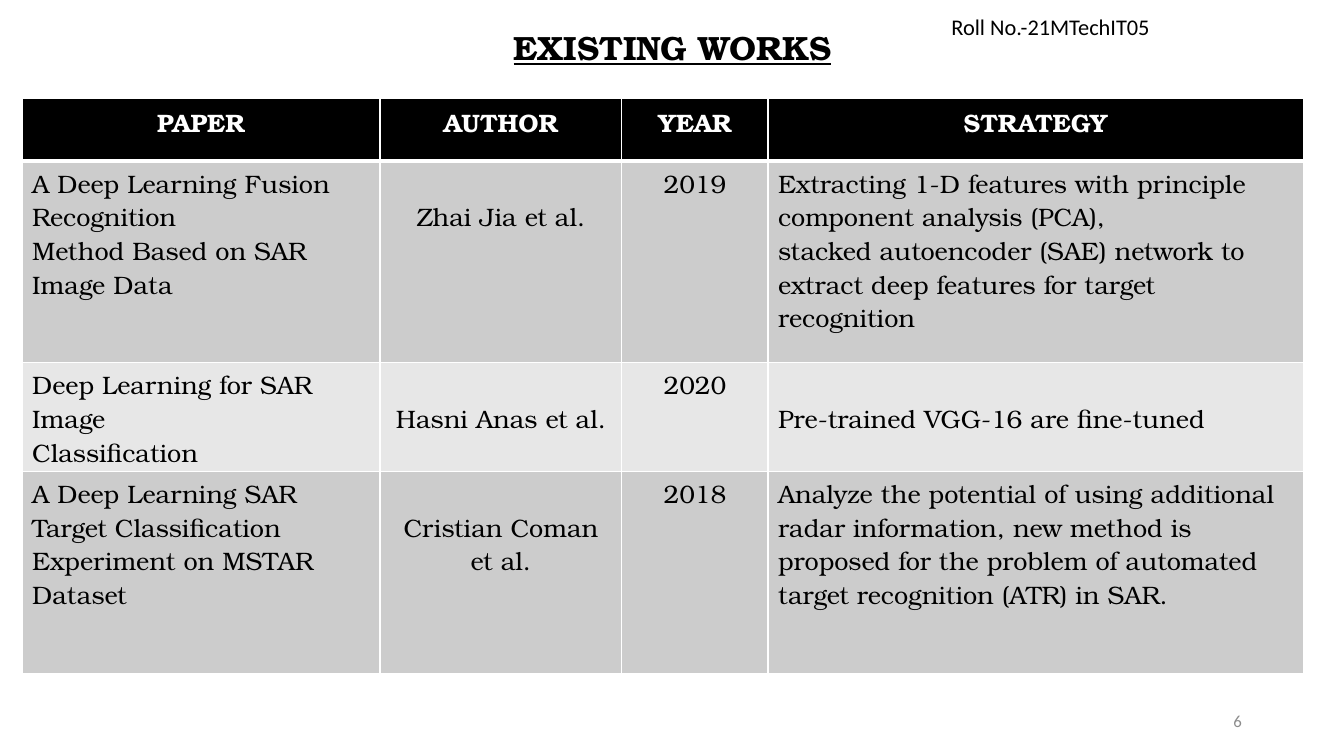
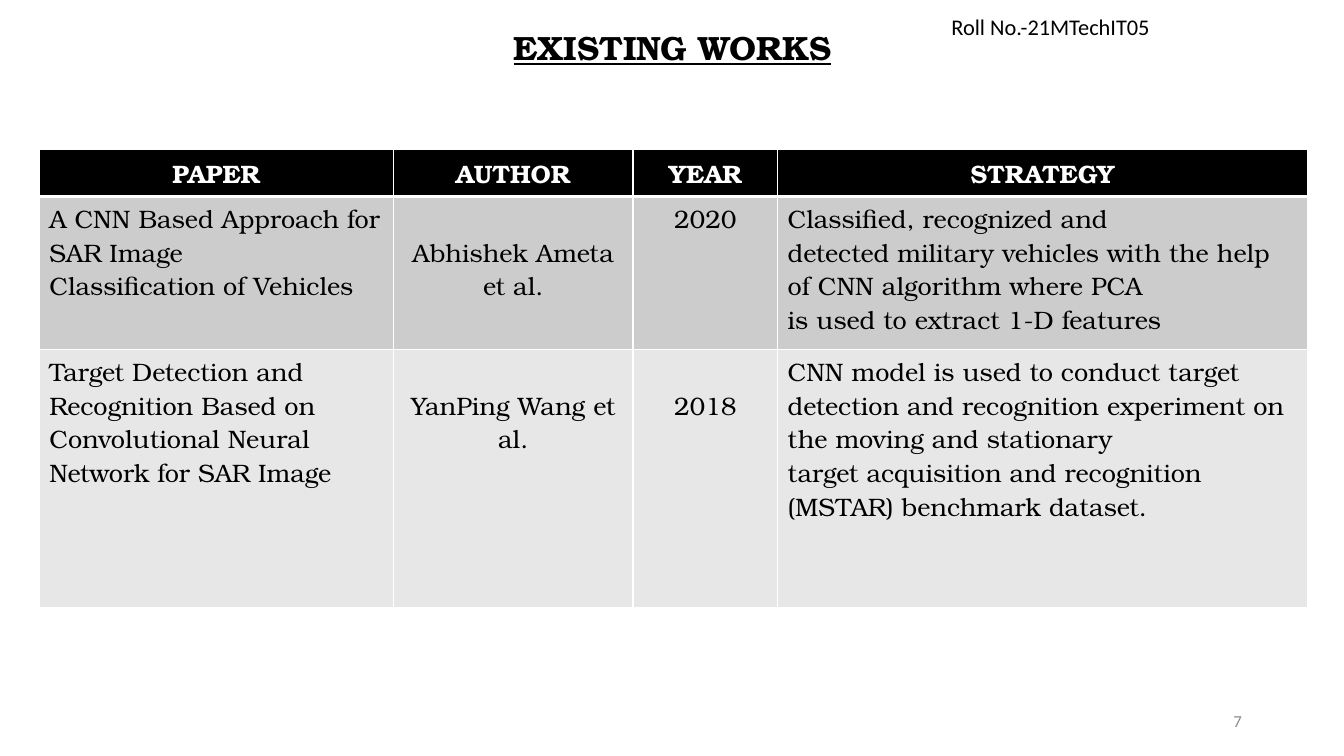
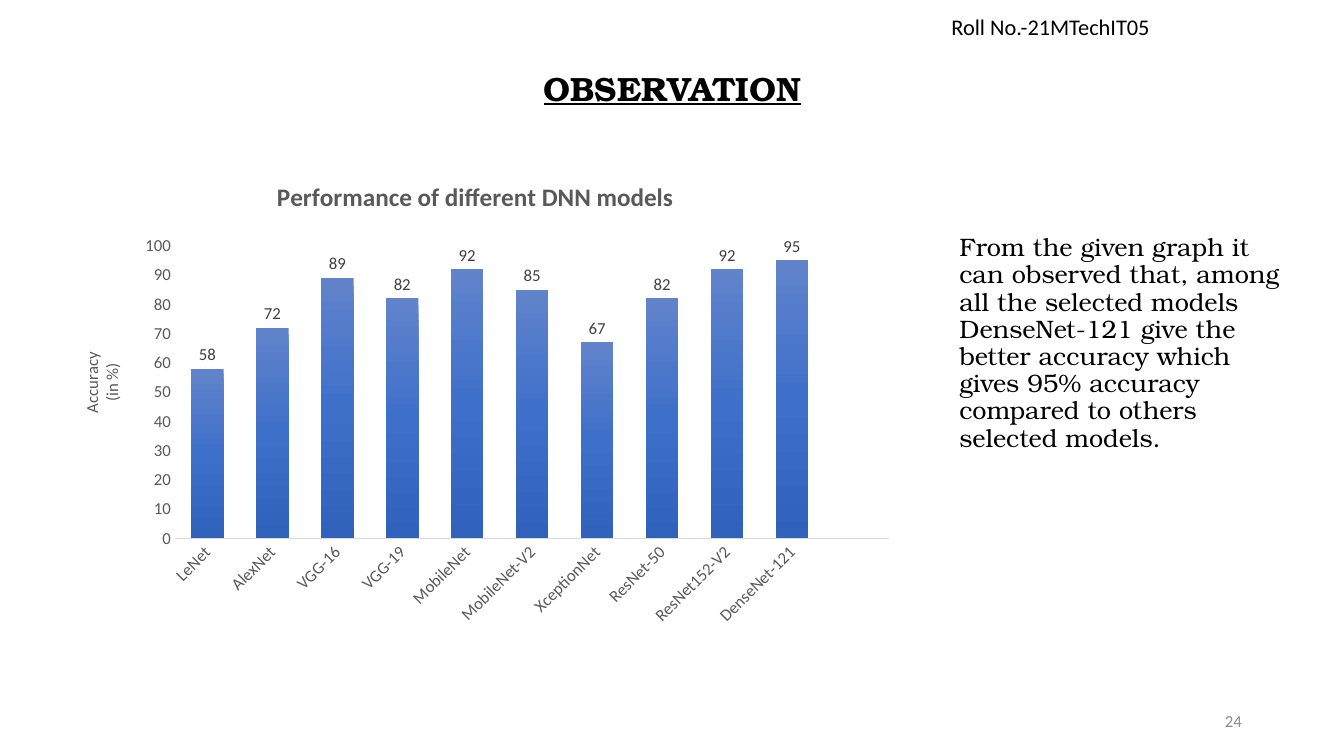
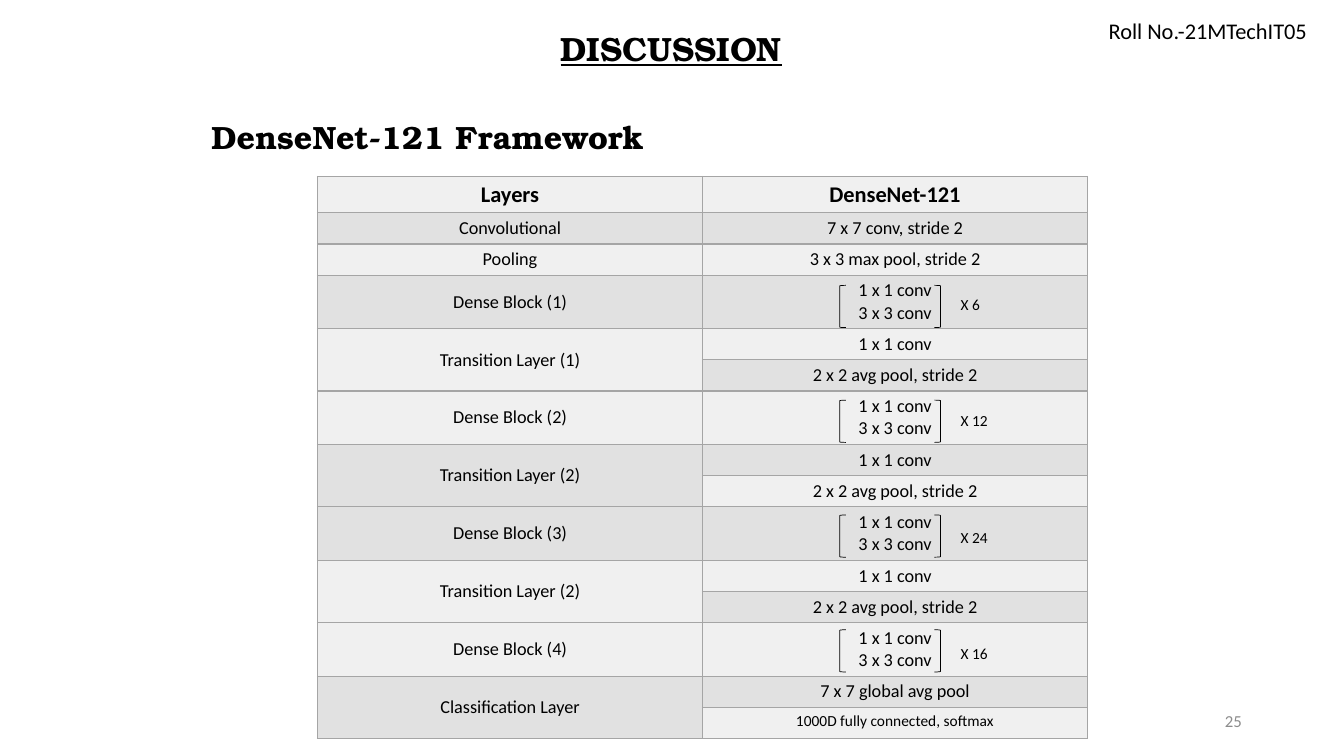
"""Build four slides on SAR target recognition: two surveys, a chart and a layer table."""
from dataclasses import dataclass
from typing import Optional

from lxml.etree import SubElement
from pptx import Presentation
from pptx.chart.data import CategoryChartData
from pptx.dml.color import RGBColor
from pptx.enum.chart import XL_CHART_TYPE as ChartType
from pptx.enum.chart import XL_LABEL_POSITION as LabelPosition
from pptx.enum.chart import XL_TICK_MARK as TickMark
from pptx.enum.shapes import MSO_SHAPE as Shape
from pptx.enum.text import MSO_ANCHOR as Anchor
from pptx.enum.text import PP_ALIGN as Align
from pptx.oxml.ns import qn
from pptx.util import Pt

SERIF = "TeX Gyre Bonum"
SANS = "Calibri"
BLACK, WHITE, GRAY = "000000", "FFFFFF", "595959"
SURVEY_BANDS = ("CCCCCC", "E7E7E7")
LAYER_BANDS = ("F0F0F0", "E1E1E1")
SURVEY_COLUMNS = (255.6, 172.8, 104.4, 382.3)
SURVEY_HEADINGS = ("PAPER", "AUTHOR", "YEAR", "STRATEGY")
MARGIN, LINE = 3.6, 24


@dataclass(frozen=True)
class Box:
    left: float
    top: float
    width: float
    height: float

    def points(self) -> tuple:
        return Pt(self.left), Pt(self.top), Pt(self.width), Pt(self.height)


@dataclass(frozen=True)
class Paper:
    title: str
    author: str
    year: str
    strategy: str
    lowered: tuple = (1,)


@dataclass(frozen=True)
class Layer:
    name: str
    operations: tuple
    repeat: Optional[str] = None


FIRST_PAPERS = (
    Paper("A Deep Learning Fusion Recognition\nMethod Based on SAR Image Data", "Zhai Jia et al.", "2019",
          "Extracting 1-D features with principle\ncomponent analysis (PCA),\n"
          "stacked autoencoder (SAE) network to extract deep features for target recognition"),
    Paper("Deep Learning for SAR Image\nClassification", "Hasni Anas et al.", "2020",
          "Pre-trained VGG-16 are fine-tuned", (1, 3)),
    Paper("A Deep Learning SAR Target Classification\nExperiment on MSTAR Dataset",
          "Cristian Coman et al.", "2018",
          "Analyze the potential of using additional\nradar information, new method is proposed "
          "for the problem of automated target recognition (ATR) in SAR."),
)
SECOND_PAPERS = (
    Paper("A CNN Based Approach for SAR Image\nClassification of Vehicles", "Abhishek Ameta et al.", "2020",
          "Classified, recognized and\ndetected military vehicles with the help\n"
          "of CNN algorithm where PCA\nis used to extract 1-D features"),
    Paper("Target Detection and Recognition Based on\nConvolutional Neural Network for SAR Image",
          "YanPing Wang et al.", "2018",
          "CNN model is used to conduct target detection and recognition experiment on the moving "
          "and stationary\ntarget acquisition and recognition (MSTAR) benchmark dataset.", (1, 2)),
)
ACCURACY = {
    "LeNet": 58, "AlexNet": 72, "VGG-16": 89, "VGG-19": 82, "MobileNet": 92, "MobileNet-V2": 85,
    "XceptionNet": 67, "ResNet-50": 82, "ResNet152-V2": 92, "DenseNet-121": 95, "": None,
}
DENSE = ("1 x 1 conv\n3 x 3 conv",)
TRANSITION = ("1 x 1 conv", "2 x 2 avg pool, stride 2")
LAYERS = (
    Layer("Layers", ("DenseNet-121",)),
    Layer("Convolutional", ("7 x 7 conv, stride 2",)),
    Layer("Pooling", ("3 x 3 max pool, stride 2",)),
    Layer("Dense Block (1)", DENSE, "X 6"),
    Layer("Transition Layer (1)", TRANSITION),
    Layer("Dense Block (2)", DENSE, "X 12"),
    Layer("Transition Layer (2)", TRANSITION),
    Layer("Dense Block (3)", DENSE, "X 24"),
    Layer("Transition Layer (2)", TRANSITION),
    Layer("Dense Block (4)", DENSE, "X 16"),
    Layer("Classification Layer", ("7 x 7 global avg pool", "1000D fully connected, softmax")),
)


def color(value: str) -> RGBColor:
    return RGBColor.from_string(value)


def style_font(font, size: float, fill: str = BLACK, name: str = SANS, bold: bool = False,
               underline: bool = False) -> None:
    font.name, font.size, font.bold = name, Pt(size), bold
    if underline:
        font.underline = True
    font.color.rgb = color(fill)


def write(frame, text: str, size: float, align=None, spacing: Optional[float] = None,
          before: Optional[float] = None, **font_format) -> None:
    for index, line in enumerate(text.split("\n")):
        paragraph = frame.add_paragraph() if index else frame.paragraphs[0]
        if align is not None:
            paragraph.alignment = align
        if spacing is not None:
            paragraph.line_spacing = spacing
        if before is not None:
            paragraph.space_before = Pt(before)
        run = paragraph.add_run()
        run.text = line
        style_font(run.font, size, **font_format)


def add_text(slide, box: Box, text: str, size: float, anchor=Anchor.TOP, wrap: bool = True, **text_format) -> None:
    frame = slide.shapes.add_textbox(*box.points()).text_frame
    frame.word_wrap = wrap
    frame.vertical_anchor = anchor
    write(frame, text, size, **text_format)


def add_page(presentation, title: str, title_box: Box, number: str, roll_left: float = 672.5, roll_top: float = 5.8):
    slide = presentation.slides.add_slide(presentation.slide_layouts[6])
    add_text(slide, title_box, title, 24, anchor=Anchor.MIDDLE, align=Align.CENTER, spacing=0.9,
             name=SERIF, bold=True, underline=True)
    add_text(slide, Box(678.2, 500.4, 216, 28.8), number, 12, anchor=Anchor.MIDDLE,
             align=Align.RIGHT, fill="8C8C8C")
    add_text(slide, Box(roll_left, roll_top, 161.3, 26.6), "Roll No.-21MTechIT05", 16)
    return slide


def paint_cell(cell, fill: str, border: str, top: float = 1, bottom: float = 1) -> None:
    properties = cell._tc.get_or_add_tcPr()
    for edge, width in (("L", 1), ("R", 1), ("T", top), ("B", bottom)):
        line = SubElement(properties, qn(f"a:ln{edge}"), w=str(Pt(width)))
        SubElement(SubElement(line, qn("a:solidFill")), qn("a:srgbClr"), val=border)
    cell.fill.solid()
    cell.fill.fore_color.rgb = color(fill)


def add_grid(slide, left: float, top: float, widths, heights):
    box = Box(left, top, sum(widths), sum(heights))
    table = slide.shapes.add_table(len(heights), len(widths), *box.points()).table
    table.horz_banding = False
    for column, width in zip(table.columns, widths):
        column.width = Pt(width)
    for row, height in zip(table.rows, heights):
        row.height = Pt(height)
    return table


def add_survey(slide, left: float, top: float, width: float, heights, papers) -> None:
    scale = width / sum(SURVEY_COLUMNS)
    table = add_grid(slide, left, top, [column * scale for column in SURVEY_COLUMNS], heights)
    for index, heading in enumerate(SURVEY_HEADINGS):
        cell = table.cell(0, index)
        paint_cell(cell, BLACK, WHITE, bottom=3)
        write(cell.text_frame, heading, 18, align=Align.CENTER, name=SERIF, fill=WHITE, bold=True)
    for row, paper in enumerate(papers, 1):
        for index, text in enumerate((paper.title, paper.author, paper.year, paper.strategy)):
            cell = table.cell(row, index)
            paint_cell(cell, SURVEY_BANDS[(row - 1) % 2], WHITE, top=3 if row == 1 else 1)
            cell.margin_top = Pt(MARGIN + LINE * (index in paper.lowered))
            write(cell.text_frame, text, 18, align=Align.CENTER if index in (1, 2) else Align.LEFT, name=SERIF)


def place(element, index: int, target: Optional[str] = None, **fractions: float) -> None:
    for old in element.findall(qn("c:layout")):
        element.remove(old)
    layout = element.makeelement(qn("c:layout"))
    element.insert(index, layout)
    manual = SubElement(layout, qn("c:manualLayout"))
    if target:
        SubElement(manual, qn("c:layoutTarget"), val=target)
    for mode in ("xMode", "yMode"):
        SubElement(manual, qn(f"c:{mode}"), val="edge")
    for name, value in fractions.items():
        SubElement(manual, qn(f"c:{name}"), val=str(value))


def rotate(element, degrees: int) -> None:
    body = element.find(".//" + qn("a:bodyPr"))
    body.set("rot", str(degrees * 60000))
    body.set("vert", "horz")


def paint_gradient(series, stops) -> None:
    fill = series.format.fill
    fill.gradient()
    fill.gradient_angle = 270
    stop_list = series._element.find(".//" + qn("a:gsLst"))
    stop_list.clear()
    for position, value in stops:
        stop = SubElement(stop_list, qn("a:gs"), pos=str(position * 1000))
        SubElement(stop, qn("a:srgbClr"), val=value)


def add_accuracy_chart(slide, box: Box) -> None:
    data = CategoryChartData()
    data.categories = list(ACCURACY)
    data.add_series("Series 1", list(ACCURACY.values()))
    chart = slide.shapes.add_chart(ChartType.COLUMN_CLUSTERED, *box.points(), data).chart
    chart.has_legend = False
    style_font(chart.font, 10)
    write(chart.chart_title.text_frame, "Performance of different DNN models", 18, fill=GRAY, bold=True)
    place(chart.chart_title._element, 1, x=0.25, y=0.02)

    plot = chart.plots[0]
    plot.gap_width, plot.overlap, plot.vary_by_categories = 100, -24, False
    paint_gradient(plot.series[0], ((0, "6183CB"), (50, "3E70CA"), (100, "3062BB")))
    plot.has_data_labels = True
    labels = plot.data_labels
    labels.show_value, labels.position = True, LabelPosition.OUTSIDE_END
    style_font(labels.font, 12, fill="404040")

    for axis in (chart.category_axis, chart.value_axis):
        axis.major_tick_mark = axis.minor_tick_mark = TickMark.NONE
        axis.has_major_gridlines = False
        style_font(axis.tick_labels.font, 12, fill=GRAY)
    line = chart.category_axis.format.line
    line.width = Pt(1)
    line.color.rgb = color("D9D9D9")
    rotate(chart.category_axis._element.find(qn("c:txPr")), -45)
    values = chart.value_axis
    values.minimum_scale, values.maximum_scale, values.major_unit = 0, 100, 10
    values.format.line.fill.background()
    write(values.axis_title.text_frame, "Accuracy\n(in %)", 12, fill=GRAY)
    rotate(values.axis_title._element, -90)
    place(values.axis_title._element, 1, x=0.02, y=0.39)
    place(chart._chartSpace.find(".//" + qn("c:plotArea")), 0, "inner", x=0.135, y=0.171, w=0.843, h=0.622)


def add_layer_table(slide) -> None:
    heights = [26 if layer is LAYERS[0] else 38.2 if layer.repeat else 22.3
               for layer in LAYERS for _ in layer.operations]
    table = add_grid(slide, 226.8, 126, (275, 275), heights)
    row = 0
    for layer in LAYERS:
        heading = layer is LAYERS[0]
        first = row
        for operation in layer.operations:
            for column, text in enumerate((layer.name if row == first else "", operation)):
                cell = table.cell(row, column)
                paint_cell(cell, LAYER_BANDS[row % 2], "A5A5A5")
                cell.margin_top = cell.margin_bottom = Pt(3.2)
                cell.margin_left = cell.margin_right = Pt(6.5)
                if column == 0 and (layer.repeat or len(layer.operations) > 1):
                    cell.vertical_anchor = Anchor.MIDDLE
                if text:
                    size = 16 if heading else 11 if "softmax" in text else 13
                    write(cell.text_frame, text, size, align=Align.CENTER, bold=heading)
            row += 1
        if row - first > 1:
            table.cell(first, 0).merge(table.cell(row - 1, 0))


def add_bracket(slide, left: float, top: float, rotation: float) -> None:
    shape = slide.shapes.add_shape(Shape.RIGHT_BRACKET, *Box(left, top, 4.4, 30.2).points())
    shape.shadow.inherit = False
    shape.rotation = rotation
    shape.fill.background()
    shape.line.color.rgb = color(BLACK)
    shape.line.width = Pt(0.5)


def add_repeats(slide) -> None:
    repeats = [layer.repeat for layer in LAYERS if layer.repeat]
    for index, repeat in enumerate(repeats):
        for left, rotation in ((599.8, 180), (667.4, 0)):
            add_bracket(slide, left, 203.8 + 82 * index, rotation)
        add_text(slide, Box(679, 207.4 + 83 * index, 34.6, 20.6), repeat, 11, wrap=False)


def main() -> None:
    presentation = Presentation()
    presentation.slide_width, presentation.slide_height = Pt(960), Pt(540)

    survey_title = Box(196.6, 18.7, 567.4, 33.8)
    slide = add_page(presentation, "EXISTING WORKS", survey_title, "6")
    add_survey(slide, 15.8, 70.6, 915.1, (44.6, 144, 77.8, 144), FIRST_PAPERS)

    slide = add_page(presentation, "EXISTING WORKS", survey_title, "7")
    add_survey(slide, 28.1, 106.6, 905.8, (33.8, 109.4, 184.3), SECOND_PAPERS)

    slide = add_page(presentation, "OBSERVATION", Box(196.6, 34.6, 567.4, 59.8), "24")
    add_accuracy_chart(slide, Box(43.2, 118.1, 605.5, 336.2))
    add_text(slide, Box(678.2, 164.2, 255.6, 181.4),
             "From the given graph it can observed that, among all the selected models DenseNet-121 give the "
             "better accuracy which gives 95% accuracy compared to others selected models.",
             18, spacing=0.9, name=SERIF)

    slide = add_page(presentation, "DISCUSSION", Box(195.8, 6.5, 567.4, 59.8), "25", 784.8, 8.6)
    add_text(slide, Box(144, 69.1, 738.7, 42.5), "DenseNet-121 Framework", 23,
             spacing=1.4, before=10, name=SERIF, bold=True)
    add_layer_table(slide)
    add_repeats(slide)

    presentation.save("out.pptx")


if __name__ == "__main__":
    main()
